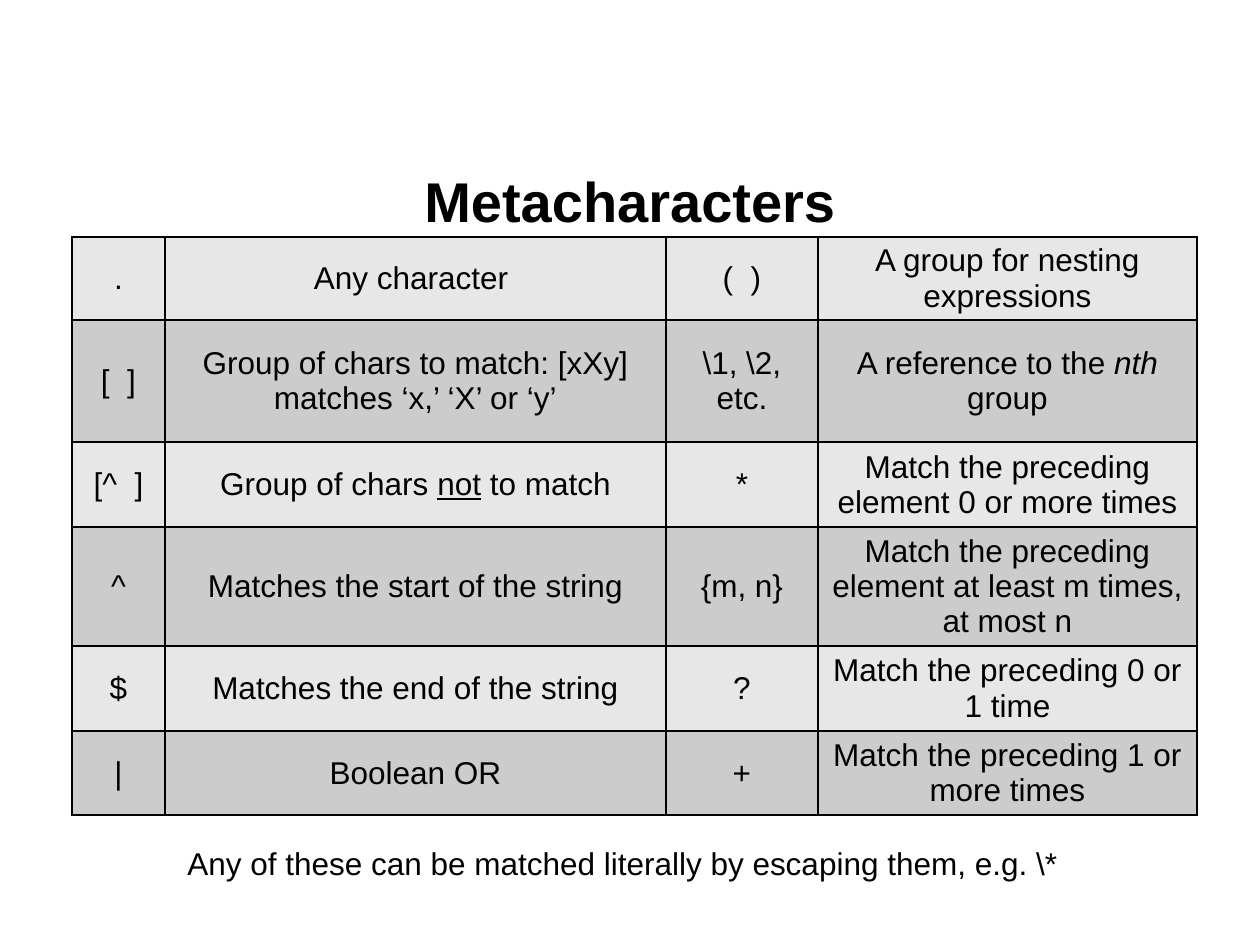
from lxml import etree
from pptx import Presentation
from pptx.dml.color import RGBColor
from pptx.enum.text import MSO_ANCHOR, PP_ALIGN
from pptx.oxml.ns import qn
from pptx.util import Pt

PX = 914400 / 126
CENTER = PP_ALIGN.CENTER
LEFT = PP_ALIGN.LEFT
MIDDLE = MSO_ANCHOR.MIDDLE
TITLE_ONLY = 5

BLACK = RGBColor(0x00, 0x00, 0x00)
BAND_COLORS = (RGBColor(0xE7, 0xE7, 0xE7), RGBColor(0xCC, 0xCC, 0xCC))

SLIDE_SIZE = (1260, 945)
TITLE_BOX = (63, 145, 1134, 111)
NOTE_BOX = (175, 838, 919, 50)
TABLE_ORIGIN = (72, 237)
COLUMN_WIDTHS = (93, 501, 152, 379)
ROW_HEIGHTS = (83, 122, 85, 119, 85, 84)

TITLE = "Metacharacters"
NOTE = r"Any of these can be matched literally by escaping them, e.g. \*"

# A cell is plain text, or a list of (text, format) runs.
ROWS = [
    (".", "Any character ", "(  )", "A group for nesting expressions"),
    ("[  ]", "Group of chars to match: [xXy] matches ‘x,’ ‘X’ or ‘y’", r"\1, \2, etc.",
     [("A reference to the ", {}), ("nth", {"italic": True}), (" group", {})]),
    ("[^  ]",
     [("Group of chars ", {}), ("not", {"underline": True}), (" to match", {})],
     "*", "Match the preceding element 0 or more times"),
    ("^", "Matches the start of the string", "{m, n}",
     "Match the preceding element at least m times, at most n"),
    ("$", "Matches the end of the string", "?", "Match the preceding 0 or 1 time"),
    ("|", "Boolean OR", "+", "Match the preceding 1 or more times"),
]

BODY_FORMAT = {"name": "Arial", "size": Pt(18), "bold": False}
TITLE_FORMAT = {"name": "Arial", "size": Pt(32), "bold": True}


def px(value):
    return round(value * PX)


def write(text_frame, content, font_format, alignment):
    paragraph = text_frame.paragraphs[0]
    paragraph.alignment = alignment
    runs = [(content, {})] if isinstance(content, str) else content
    for text, extra in runs:
        run = paragraph.add_run()
        run.text = text
        run.font.color.rgb = BLACK
        for name, value in {**font_format, **extra}.items():
            setattr(run.font, name, value)


def add_borders(cell):
    """Give the cell a thin black line on each side."""
    properties = cell._tc.get_or_add_tcPr()
    for index, side in enumerate(("a:lnL", "a:lnR", "a:lnT", "a:lnB")):
        line = etree.Element(qn(side), w=str(Pt(1)))
        fill = etree.SubElement(line, qn("a:solidFill"))
        etree.SubElement(fill, qn("a:srgbClr"), val=str(BLACK))
        properties.insert(index, line)


def add_metacharacter_table(slide):
    size = (sum(COLUMN_WIDTHS), sum(ROW_HEIGHTS))
    frame = slide.shapes.add_table(
        len(ROWS), len(COLUMN_WIDTHS), *map(px, TABLE_ORIGIN + size))
    table = frame.table
    for column, width in zip(table.columns, COLUMN_WIDTHS):
        column.width = px(width)
    for row_index, (row, height, contents) in enumerate(zip(table.rows, ROW_HEIGHTS, ROWS)):
        row.height = px(height)
        for cell, content in zip(row.cells, contents):
            cell.vertical_anchor = MIDDLE
            cell.fill.solid()
            cell.fill.fore_color.rgb = BAND_COLORS[row_index % 2]
            add_borders(cell)
            write(cell.text_frame, content, BODY_FORMAT, CENTER)


def main():
    presentation = Presentation()
    presentation.slide_width, presentation.slide_height = map(px, SLIDE_SIZE)
    slide = presentation.slides.add_slide(presentation.slide_layouts[TITLE_ONLY])

    title = slide.shapes.title
    title.left, title.top, title.width, title.height = map(px, TITLE_BOX)
    title.text_frame.vertical_anchor = MIDDLE
    write(title.text_frame, TITLE, TITLE_FORMAT, CENTER)

    add_metacharacter_table(slide)

    note = slide.shapes.add_textbox(*map(px, NOTE_BOX))
    note.text_frame.word_wrap = True
    write(note.text_frame, NOTE, BODY_FORMAT, LEFT)

    presentation.save("out.pptx")


if __name__ == "__main__":
    main()
